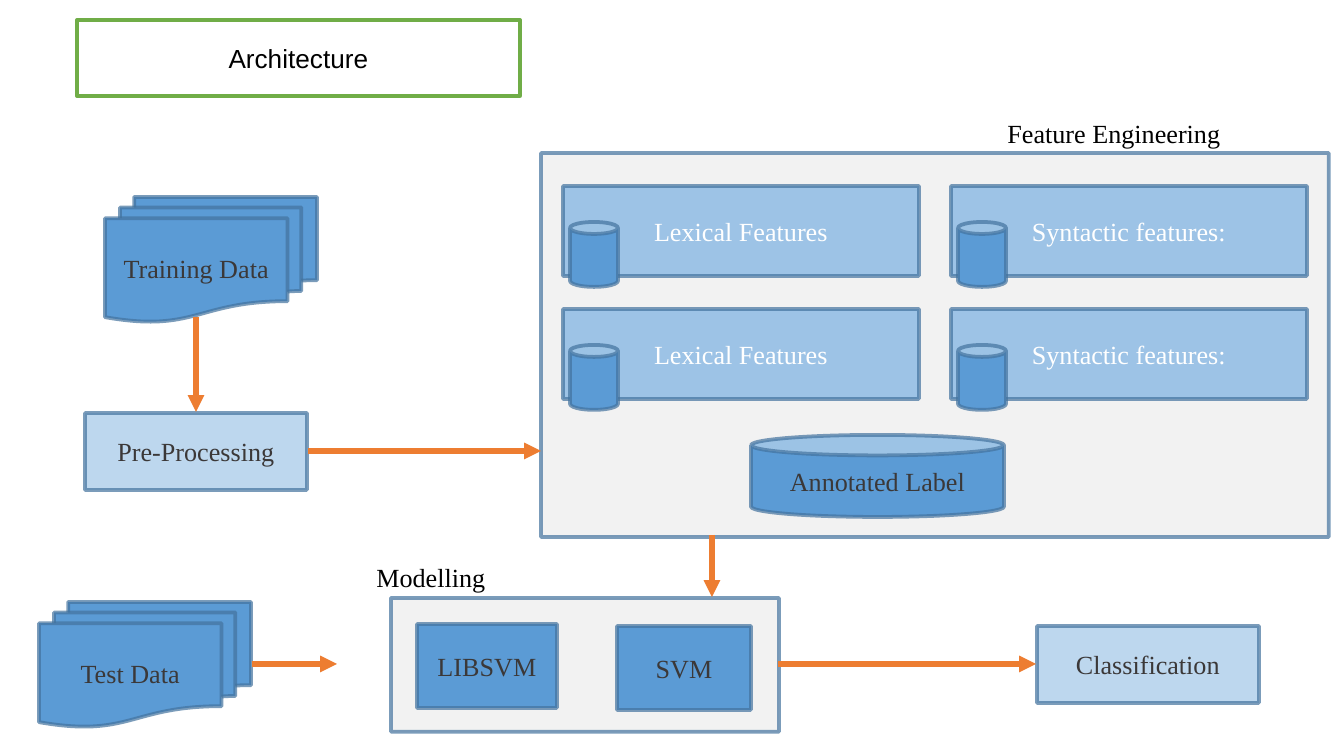
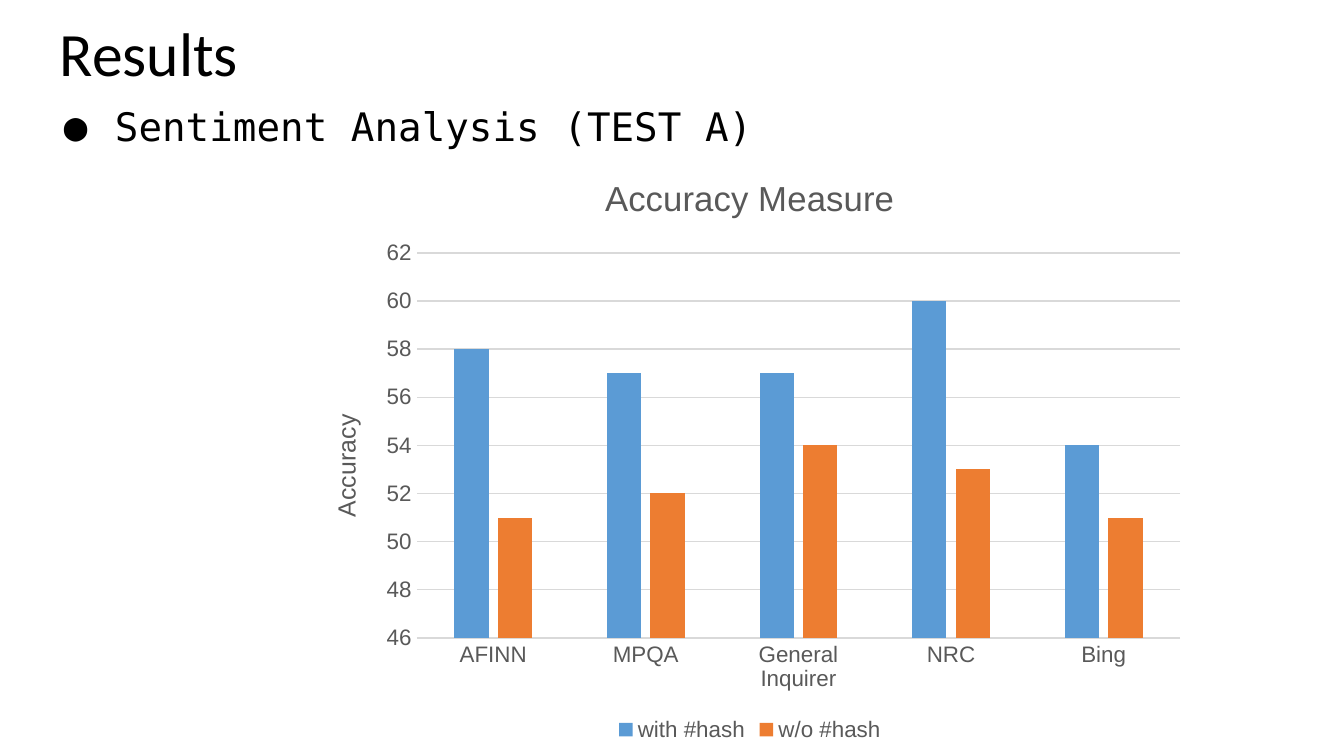
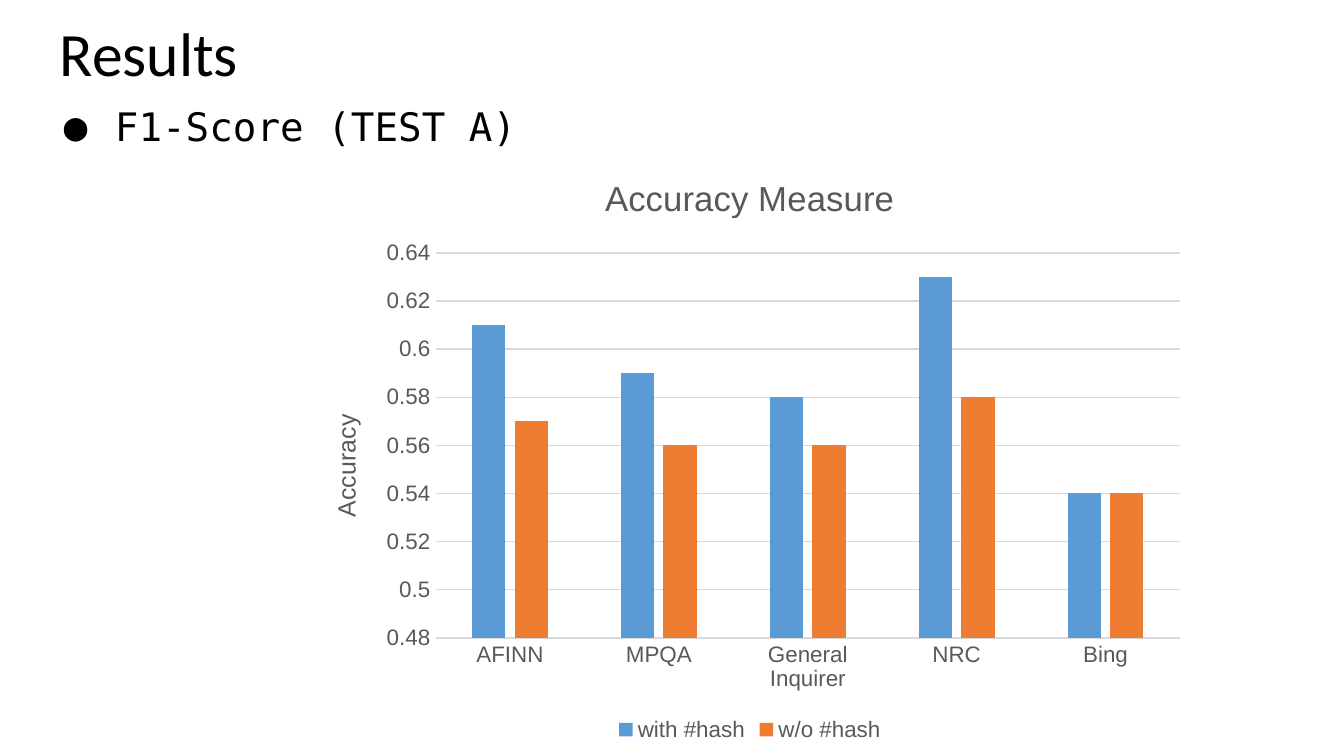
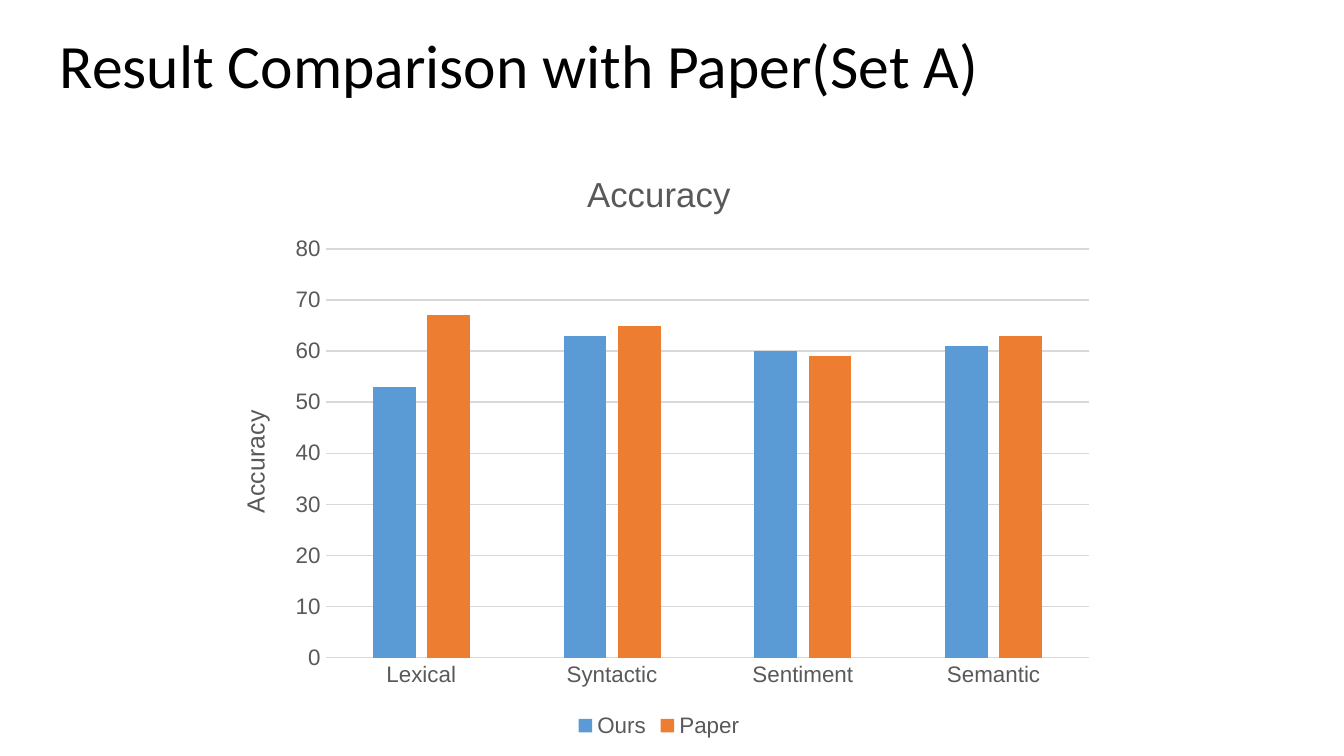
from lxml.etree import SubElement
from pptx import Presentation
from pptx.chart.data import CategoryChartData
from pptx.dml.color import RGBColor
from pptx.enum.chart import XL_CHART_TYPE as ChartType, XL_LEGEND_POSITION as LegendSpot, XL_TICK_MARK as Tick
from pptx.enum.shapes import MSO_CONNECTOR as Connector, MSO_SHAPE as Preset
from pptx.enum.text import MSO_ANCHOR as Anchor, PP_ALIGN as Align
from pptx.oxml.ns import qn
from pptx.util import Pt

SCALE = 914400 / 134.4

BLACK = RGBColor(0x00, 0x00, 0x00)
WHITE = RGBColor(0xFF, 0xFF, 0xFF)
CHARCOAL = RGBColor(0x3B, 0x38, 0x38)
GRAY = RGBColor(0x59, 0x59, 0x59)
RULE = RGBColor(0xD9, 0xD9, 0xD9)
PANEL = RGBColor(0xF2, 0xF2, 0xF2)
BLUE = RGBColor(0x5B, 0x9B, 0xD5)
SKY = RGBColor(0x9D, 0xC3, 0xE6)
PALE = RGBColor(0xBD, 0xD7, 0xEE)
OUTLINE = RGBColor(0x43, 0x73, 0x9E)
ORANGE = RGBColor(0xED, 0x7D, 0x31)
GREEN = RGBColor(0x70, 0xAD, 0x47)

SERIF = "Times New Roman"
SANS = "Arial"
HEADING = "Calibri"
MONO = "DejaVu Sans Mono"


def px(length):
    return round(length * SCALE)


def style_font(font, size, color, name):
    font.size = Pt(size)
    font.name = name
    font.bold = False
    font.color.rgb = color


def write(frame, text, size=14, color=CHARCOAL, font=SERIF, align=Align.CENTER,
          anchor=Anchor.MIDDLE, spacing=None, inset=None):
    frame.word_wrap = True
    frame.vertical_anchor = anchor
    if inset is not None:
        frame.margin_left = frame.margin_right = px(inset)
        frame.margin_top = frame.margin_bottom = px(inset)
    para = frame.paragraphs[0]
    para.alignment = align
    if spacing:
        para.line_spacing = spacing
    span = para.add_run()
    span.text = text
    style_font(span.font, size, color, font)
    return para


class Deck:
    def __init__(self):
        self.file = Presentation()
        self.file.slide_width = px(1344)
        self.file.slide_height = px(756)
        self.page = None

    def new_page(self):
        self.page = self.file.slides.add_slide(self.file.slide_layouts[6])

    def text(self, x, y, width, height, text, **style):
        box = self.page.shapes.add_textbox(px(x), px(y), px(width), px(height))
        return write(box.text_frame, text, **style)

    def title(self, text, y=10):
        self.text(47, y, 1253, 85, text, size=33, color=BLACK, font=HEADING,
                  align=Align.LEFT, anchor=Anchor.TOP, spacing=0.9, inset=13)

    def bullet(self, text):
        para = self.text(35, 95, 1253, 503, text, size=21, color=BLACK, font=MONO,
                         align=Align.LEFT, anchor=Anchor.TOP, spacing=0.9, inset=13)
        props = para._p.get_or_add_pPr()
        props.set("marL", str(px(67)))
        props.set("indent", str(px(-51)))
        tint = SubElement(props, qn("a:buClr"))
        SubElement(tint, qn("a:srgbClr"), val=str(BLACK))
        SubElement(props, qn("a:buFont"), typeface=MONO)
        SubElement(props, qn("a:buChar"), char="●")

    def shape(self, preset, x, y, width, height, fill, text=None, line=OUTLINE,
              opacity=70, **style):
        shape = self.page.shapes.add_shape(preset, px(x), px(y), px(width), px(height))
        shape.shadow.inherit = False
        shape.fill.solid()
        shape.fill.fore_color.rgb = fill
        shape.line.width = Pt(2)
        shape.line.color.rgb = line
        if opacity < 100:
            stroke = shape.element.spPr.find(qn("a:ln"))
            tint = stroke.find(".//" + qn("a:srgbClr"))
            SubElement(tint, qn("a:alpha"), val=str(opacity * 1000))
        if text:
            write(shape.text_frame, text, **style)

    def arrow(self, x1, y1, x2, y2):
        arrow = self.page.shapes.add_connector(
            Connector.STRAIGHT, px(x1), px(y1), px(x2), px(y2))
        arrow.line.width = Pt(3)
        arrow.line.color.rgb = ORANGE
        props = arrow.element.spPr
        SubElement(props.find(qn("a:ln")), qn("a:tailEnd"), type="triangle")
        SubElement(props, qn("a:effectLst"))

    def chart(self, x, y, title, categories, series, low, high, step):
        data = CategoryChartData()
        data.categories = categories
        for name, values in series.items():
            data.add_series(name, values)
        chart = self.page.shapes.add_chart(
            ChartType.COLUMN_CLUSTERED, px(x), px(y), px(896), px(597), data).chart
        style_font(chart.font, 10, BLACK, SANS)
        self.chart_title(chart.chart_title, title, 18.6)

        chart.has_legend = True
        chart.legend.position = LegendSpot.BOTTOM
        chart.legend.include_in_layout = False
        style_font(chart.legend.font, 12, GRAY, SANS)

        plot = chart.plots[0]
        plot.vary_by_categories = False
        plot.gap_width = 219
        plot.overlap = -27
        for bars, color in zip(plot.series, (BLUE, ORANGE)):
            bars.format.fill.solid()
            bars.format.fill.fore_color.rgb = color

        names, scale = chart.category_axis, chart.value_axis
        for axis in (names, scale):
            axis.major_tick_mark = axis.minor_tick_mark = Tick.NONE
            style_font(axis.tick_labels.font, 12, GRAY, SANS)
        scale.minimum_scale, scale.maximum_scale, scale.major_unit = low, high, step
        scale.has_major_gridlines = True
        for line in (names.format.line, scale.major_gridlines.format.line):
            line.width = Pt(0.75)
            line.color.rgb = RULE
        scale.format.line.fill.background()
        self.chart_title(scale.axis_title, "Accuracy", 13.3)

    def chart_title(self, title, text, size):
        span = title.text_frame.paragraphs[0].add_run()
        span.text = text
        style_font(span.font, size, GRAY, SANS)

    def save(self):
        self.file.save("out.pptx")


def architecture(deck):
    deck.new_page()
    deck.text(341, 540, 180, 74, "Modelling", color=BLACK)
    deck.text(920, 96, 388, 74, "Feature Engineering", color=BLACK)
    deck.shape(Preset.RECTANGLE, 391, 598, 388, 134, PANEL)
    deck.shape(Preset.RECTANGLE, 541, 153, 788, 384, PANEL)

    for column, name in enumerate(("Lexical Features", "Syntactic features:")):
        for row in range(2):
            x, y = 563 + 388 * column, 186 + 123 * row
            deck.shape(Preset.RECTANGLE, x, y, 356, 90, SKY, name, color=WHITE)
            deck.shape(Preset.CAN, x + 7, y + 36, 48, 65, BLUE)
    deck.shape(Preset.CAN, 751, 435, 253, 82, BLUE, "Annotated Label")

    for x, y, name in ((105, 197, "Training Data"), (39, 602, "Test Data")):
        deck.shape(Preset.FLOWCHART_MULTIDOCUMENT, x, y, 212, 125, BLUE, name)
    for x, y, name in ((85, 413, "Pre-Processing"), (1037, 626, "Classification")):
        deck.shape(Preset.RECTANGLE, x, y, 222, 77, PALE, name)
    for x, y, width, name in ((417, 624, 140, "LIBSVM"), (617, 626, 134, "SVM")):
        deck.shape(Preset.RECTANGLE, x, y, width, 84, BLUE, name)

    for ends in ((196, 317, 196, 412), (308, 451, 541, 451), (712, 535, 712, 597),
                 (252, 664, 337, 664), (778, 664, 1036, 664)):
        deck.arrow(*ends)
    deck.shape(Preset.RECTANGLE, 77, 20, 443, 76, WHITE, "Architecture",
               line=GREEN, opacity=100, color=BLACK, font=SANS)


def results(deck, heading, with_hash, without_hash, *scale):
    deck.new_page()
    deck.title("Results")
    deck.bullet(heading)
    deck.chart(302, 150, "Accuracy Measure",
               ("AFINN", "MPQA", "General Inquirer", "NRC", "Bing"),
               {"with #hash": with_hash, "w/o #hash": without_hash}, *scale)


def comparison(deck):
    deck.new_page()
    deck.title("Result Comparison with Paper(Set A)", y=22)
    deck.chart(211, 146, "Accuracy",
               ("Lexical", "Syntactic", "Sentiment", "Semantic"),
               {"Ours": (53, 63, 60, 61), "Paper": (67, 65, 59, 63)},
               0, 80, 10)


deck = Deck()
architecture(deck)
results(deck, "Sentiment Analysis (TEST A)", (58, 57, 57, 60, 54),
        (51, 52, 54, 53, 51), 46, 62, 2)
results(deck, "F1-Score (TEST A)", (0.61, 0.59, 0.58, 0.63, 0.54),
        (0.57, 0.56, 0.56, 0.58, 0.54), 0.48, 0.64, 0.02)
comparison(deck)
deck.save()
